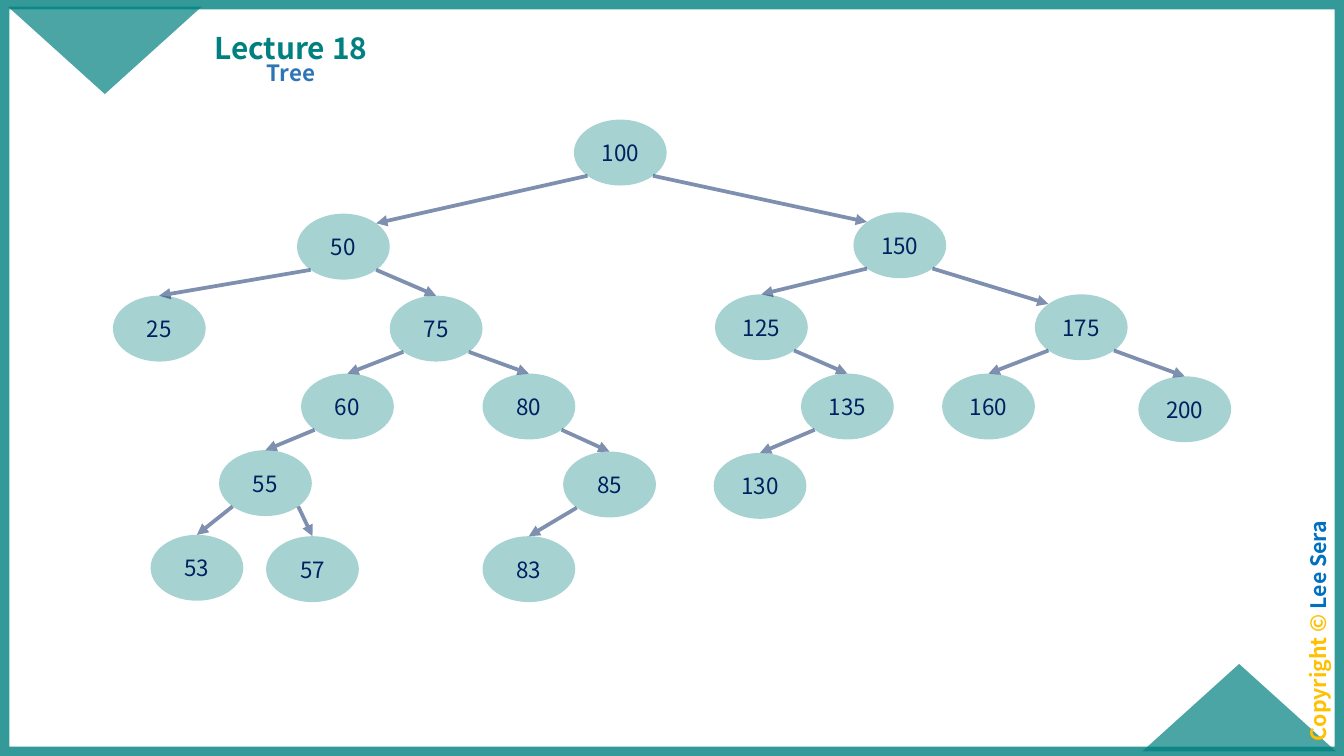
"""Build the lecture slide that shows a binary search tree."""
import math

from lxml import etree
from pptx import Presentation
from pptx.dml.color import RGBColor
from pptx.enum.shapes import MSO_CONNECTOR, MSO_SHAPE
from pptx.enum.text import MSO_ANCHOR, PP_ALIGN
from pptx.oxml.ns import qn
from pptx.util import Inches, Pt

RECT, TRIANGLE, OVAL = MSO_SHAPE.RECTANGLE, MSO_SHAPE.ISOSCELES_TRIANGLE, MSO_SHAPE.OVAL
STRAIGHT = MSO_CONNECTOR.STRAIGHT
TOP, MIDDLE, BOTTOM = MSO_ANCHOR.TOP, MSO_ANCHOR.MIDDLE, MSO_ANCHOR.BOTTOM
CENTER = PP_ALIGN.CENTER
TEAL = RGBColor(0x00, 0x80, 0x80)
NAVY = RGBColor(0x00, 0x20, 0x60)
GOLD = RGBColor(0xFF, 0xC0, 0x00)
BLUE = RGBColor(0x00, 0x70, 0xC0)
STEEL = RGBColor(0x2E, 0x75, 0xB6)
FONT = "Noto Sans CJK KR"
W = 10
H = W * 9 / 16
NODE_W, NODE_H = 0.69, 0.49


def paint(fill, color, alpha):
    fill.solid()
    fill.fore_color.rgb = color
    clr = fill._xPr.find(qn("a:solidFill"))[0]
    etree.SubElement(clr, qn("a:alpha"), val=str(alpha * 1000))


def write(tf, runs, size, bold, anchor, inset, para):
    tf.word_wrap = True
    tf.vertical_anchor = anchor
    tf.margin_left = tf.margin_right = Inches(inset[0])
    tf.margin_top = tf.margin_bottom = Inches(inset[1])
    p = tf.paragraphs[0]
    p.alignment = CENTER
    for name, value in para.items():
        setattr(p, name, value)
    for text, color in runs:
        r = p.add_run()
        r.text = text
        for name, value in {"name": FONT, "size": Pt(size), "bold": bold}.items():
            setattr(r.font, name, value)
        r.font.color.rgb = color


prs = Presentation()
prs.slide_width, prs.slide_height = Inches(W), Inches(H)
s = prs.slides.add_slide(prs.slide_layouts[6])

frame = s.shapes.add_shape(RECT, 0, 0, prs.slide_width, prs.slide_height)
frame.shadow.inherit = False
frame.fill.background()
frame.line.width = Pt(10)
paint(frame.line.fill, TEAL, 80)

for x, y, turn in [(8.5, 4.94, 0), (0.06, 0.05, 180)]:
    sp = s.shapes.add_shape(TRIANGLE, Inches(x), Inches(y), Inches(1.44), Inches(0.65))
    sp.shadow.inherit = False
    sp.rotation = turn
    sp.line.fill.background()
    paint(sp.fill, TEAL, 70)

labels = [
    ((8.92, 4.57, 1.86, 0.25), 270, [("Copyright © ", GOLD), ("Lee Sera", BLUE)], 11.4, TOP,
     {"line_spacing": 0.7, "space_before": Pt(10)}),
    ((1.4, 0.06, 1.53, 0.47), 0, [("Lecture 18", TEAL)], 16, BOTTOM, {"line_spacing": 0.9}),
    ((1.1, 0.42, 2.13, 0.34), 0, [("Tree", STEEL)], 12, TOP,
     {"line_spacing": 0.9, "space_before": Pt(7.5)}),
]
for box, turn, runs, size, anchor, para in labels:
    sp = s.shapes.add_textbox(*map(Inches, box))
    sp.rotation = turn
    write(sp.text_frame, runs, size, True, anchor, (0.07, 0.04), para)

# value, left, top, parent, side of the node where the arrow arrives
nodes = [
    (100, 4.27, 0.89, None, 0),
    (50, 2.21, 1.59, 100, 1), (150, 6.35, 1.58, 100, -1),
    (25, 0.84, 2.2, 50, 0), (75, 2.9, 2.2, 50, 0),
    (125, 5.32, 2.19, 150, 0), (175, 7.7, 2.19, 150, -1),
    (60, 2.24, 2.78, 75, 0), (80, 3.59, 2.78, 75, 0),
    (135, 5.96, 2.78, 125, 0), (160, 7.01, 2.78, 175, 0), (200, 8.47, 2.8, 175, 0),
    (55, 1.63, 3.35, 60, 0), (85, 4.19, 3.36, 80, 0), (130, 5.31, 3.37, 135, 0),
    (53, 1.12, 3.98, 55, 0), (57, 1.98, 3.99, 55, 0), (83, 3.59, 3.99, 85, 0),
]
dx, dy = NODE_W / 2 * math.sqrt(0.5), NODE_H / 2 * math.sqrt(0.5)
centers = {}
for value, x, y, parent, side in nodes:
    sp = s.shapes.add_shape(OVAL, Inches(x), Inches(y), Inches(NODE_W), Inches(NODE_H))
    sp.shadow.inherit = False
    sp.line.fill.background()
    paint(sp.fill, TEAL, 35)
    write(sp.text_frame, [(str(value), NAVY)], 12, False, MIDDLE, (0, 0), {})
    cx, cy = centers[value] = x + NODE_W / 2, y + NODE_H / 2
    if parent is None:
        continue
    px, py = centers[parent]
    start = px + math.copysign(dx, cx - px), py + dy
    end = cx + side * dx, cy - (dy if side else NODE_H / 2)
    edge = s.shapes.add_connector(STRAIGHT, *map(Inches, start + end))
    edge.line.width = Pt(2)
    paint(edge.line.fill, NAVY, 50)
    etree.SubElement(edge.line._ln, qn("a:tailEnd"), type="triangle")
    etree.SubElement(edge._element.spPr, qn("a:effectLst"))

prs.save("out.pptx")
